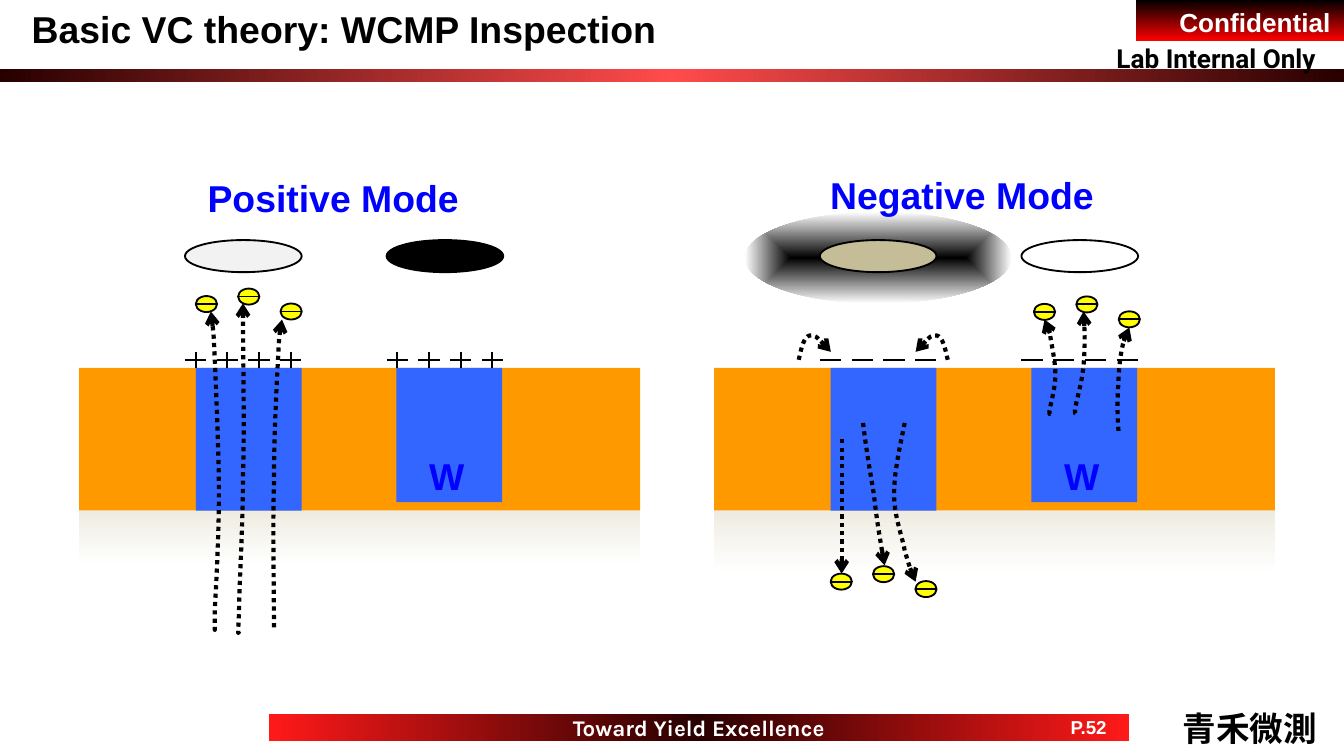
from lxml.etree import SubElement
from pptx import Presentation
from pptx.dml.color import RGBColor
from pptx.enum.dml import MSO_LINE
from pptx.enum.shapes import MSO_CONNECTOR, MSO_SHAPE
from pptx.enum.text import MSO_ANCHOR, MSO_AUTO_SIZE, PP_ALIGN
from pptx.oxml import parse_xml
from pptx.oxml.ns import nsdecls, qn
from pptx.util import Pt

BLACK = RGBColor(0x00, 0x00, 0x00)
WHITE = RGBColor(0xFF, 0xFF, 0xFF)
RED = RGBColor(0xFF, 0x00, 0x00)
BRIGHT_RED = RGBColor(0xFF, 0x19, 0x19)
GLOW_RED = RGBColor(0xFF, 0x4B, 0x4B)
DARK_RED = RGBColor(0x28, 0x00, 0x00)
ORANGE = RGBColor(0xFF, 0x99, 0x00)
PLUG_BLUE = RGBColor(0x33, 0x66, 0xFF)
LABEL_BLUE = RGBColor(0x00, 0x00, 0xFF)
YELLOW = RGBColor(0xFF, 0xFF, 0x00)
CREAM = RGBColor(0xEE, 0xEC, 0xE1)
PALE_GREY = RGBColor(0xF2, 0xF2, 0xF2)
TAN = RGBColor(0xC4, 0xBD, 0x97)

ACROSS = '<a:lin ang="0" scaled="0"/>'
DOWN = '<a:lin ang="5400000" scaled="0"/>'
OUTWARD = '<a:path path="shape"><a:fillToRect l="50000" t="50000" r="50000" b="50000"/></a:path>'

PLUGS = ((62.5, 76.5), (170, 72))
SPOT_LEFTS = (56.7, 164.7)
RISING_LONG = (
    [(72.7, 139.7), (72.7, 141), (72.7, 141.8), (72.7, 129.6), (73.4, 117.4), (74.9, 90),
     (74.9, 67.7), (74.9, 45.4), (73.4, 12.2), (72.7, -4.3), (72, -20.9), (71.3, -25.2),
     (70.6, -30.2)],
    [(85.7, 141.1), (85, 142.6), (85, 144.7), (85.7, 131), (85.7, 116.6), (87.8, 85.7),
     (87.8, 58.3), (88.6, 31), (87.8, -1.4), (87.8, -34.6)],
    [(104.4, 139), (104.4, 112.3), (103.7, 86.4), (104.4, 61.9), (104.4, 38.2), (105.8, 9.4),
     (106.6, -5), (107.3, -19.4), (108, -23), (108.7, -25.9)],
)
FALLING = (
    [(68.4, 38.2), (68.4, 49), (68.4, 59.8), (68.4, 72), (68.4, 84.2), (68.4, 97.2),
     (68.4, 110.2)],
    [(79.9, 29.5), (81.4, 42.5), (83.5, 54.7), (85.7, 67.7), (87.1, 80.6), (89.3, 93.6),
     (91.4, 105.8)],
    [(102.2, 29.5), (99.4, 43.2), (96.5, 56.2), (96.5, 67.7), (96.5, 79.2), (100.8, 90),
     (102.2, 97.9), (104.4, 105.1), (105.8, 110.2), (108, 114.5)],
)
RISING_SHORT = (
    [(180, 24.5), (180, 25.2), (179.3, 25.2), (180, 21.6), (180.7, 18), (182.9, 10.1),
     (182.9, 3.6), (182.9, -3.6), (180.7, -13), (180, -18), (179.3, -23), (177.8, -24.5),
     (177.1, -25.9)],
    [(193.7, 24.5), (193.7, 24.5), (193, 25.2), (193.7, 20.9), (194.4, 16.6), (197.3, 7.2),
     (198, -1.4), (198.7, -10.1), (198.7, -20.2), (198, -30.2)],
    [(216.7, 33.8), (216, 24.5), (216, 15.8), (216.7, 7.9), (216.7, 0), (218.2, -10.1),
     (219.6, -14.4), (220.3, -19.4), (221.8, -20.9), (222.5, -21.6)],
)
HOP = [(45.4, -4.3), (46.8, -10.8), (48.2, -16.6), (51.1, -17.3), (54, -18), (58.3, -13.7),
       (62.6, -8.6)]
HOPS = (HOP, [(170.6 - x, y) for x, y in HOP])


def add_shape(s, kind, x, y, w, h, fill=None, outlined=False):
    sp = s.shapes.add_shape(kind, Pt(x), Pt(y), Pt(w), Pt(h))
    sp.shadow.inherit = False
    if fill is not None:
        sp.fill.solid()
        sp.fill.fore_color.rgb = fill
    if outlined:
        sp.line.color.rgb = BLACK
        sp.line.width = Pt(1)
    else:
        sp.line.fill.background()
    return sp


def add_gradient(s, kind, x, y, w, h, colors, direction):
    sp = add_shape(s, kind, x, y, w, h)
    step = 100000 // (len(colors) - 1)
    stops = "".join(f'<a:gs pos="{i * step}"><a:srgbClr val="{c}"/></a:gs>'
                    for i, c in enumerate(colors))
    sp._element.spPr.insert(2, parse_xml(
        f'<a:gradFill {nsdecls("a")} rotWithShape="1"><a:gsLst>{stops}</a:gsLst>'
        f'{direction}</a:gradFill>'))
    return sp


def write(sp, text, size, color, font="Arial", align=PP_ALIGN.LEFT, anchor=MSO_ANCHOR.TOP,
          wrap=False, inset=(7.2, 3.6)):
    tf = sp.text_frame
    frame = {"word_wrap": wrap, "auto_size": MSO_AUTO_SIZE.NONE, "vertical_anchor": anchor,
             "margin_left": Pt(inset[0]), "margin_right": Pt(inset[0]),
             "margin_top": Pt(inset[1]), "margin_bottom": Pt(inset[1])}
    for name, value in frame.items():
        setattr(tf, name, value)
    p = tf.paragraphs[0]
    p.alignment = align
    r = p.add_run()
    r.text = text
    for name, value in {"size": Pt(size), "bold": True, "name": font}.items():
        setattr(r.font, name, value)
    r.font.color.rgb = color


def add_text(s, x, y, w, h, text, size, color, **options):
    write(s.shapes.add_textbox(Pt(x), Pt(y), Pt(w), Pt(h)), text, size, color, **options)


def add_label(s, x, y, w, text, color, wrap=False):
    add_text(s, x, y, w, 30, text, 20, color, wrap=wrap, inset=(6.2, 3.1))


def add_line(s, x1, y1, x2, y2):
    line = s.shapes.add_connector(MSO_CONNECTOR.STRAIGHT, Pt(x1), Pt(y1), Pt(x2), Pt(y2))
    line.line.color.rgb = BLACK
    line.line.width = Pt(1)
    SubElement(line._element.spPr, qn("a:effectLst"))


def add_curve(s, x, y, points):
    start, *rest = [(Pt(x + px), Pt(y + py)) for px, py in points]
    fb = s.shapes.build_freeform(*start)
    fb.add_line_segments(rest, close=False)
    sp = fb.convert_to_shape()
    outline = next(sp._element.iter(qn("a:path")))
    segments = outline.findall(qn("a:lnTo"))
    for i in range(0, len(segments), 3):
        bend = SubElement(outline, qn("a:cubicBezTo"))
        for segment in segments[i:i + 3]:
            bend.append(segment[0])
            outline.remove(segment)
    sp.shadow.inherit = False
    sp.fill.background()
    sp.line.color.rgb = BLACK
    sp.line.width = Pt(2.25)
    sp.line.dash_style = MSO_LINE.ROUND_DOT
    SubElement(sp.line._get_or_add_ln(), qn("a:tailEnd"), type="arrow")


def add_electrons(s, x, y):
    for i, rise in enumerate((0, -4, 4)):
        left, top = x + i * 22.7, y + rise
        group = s.shapes.add_group_shape()
        add_shape(group, MSO_SHAPE.OVAL, left, top, 11.4, 8.6, YELLOW, True)
        add_line(group, left, top + 4.3, left + 11.4, top + 4.3)


def add_charges(s, x, y, positive):
    for i in range(4):
        left = x + i * 17
        group = s.shapes.add_group_shape() if positive else s
        if positive:
            add_line(group, left + 5.7, y - 4.3, left + 5.7, y + 4.3)
        add_line(group, left, y, left + 11.4, y)


def add_wafer(s, x, y, fade, spots, positive, electrons, curves):
    add_gradient(s, MSO_SHAPE.RECTANGLE, x, y + 76.4, 300.5, fade, (CREAM, WHITE), DOWN)
    if not positive:
        add_gradient(s, MSO_SHAPE.OVAL, x + 16.5, y - 83.5, 143, 49, (BLACK, WHITE), OUTWARD)
    add_shape(s, MSO_SHAPE.RECTANGLE, x, y, 300.5, 76.4, ORANGE)
    for left, depth in PLUGS:
        add_shape(s, MSO_SHAPE.RECTANGLE, x + left, y, 56.7, depth, PLUG_BLUE)
    for left, color in zip(SPOT_LEFTS, spots):
        add_shape(s, MSO_SHAPE.OVAL, x + left, y - 68.5, 62.5, 17.2, color, True)
        add_charges(s, x + left, y - 4.4, positive)
    for left, top in electrons:
        add_electrons(s, x + left, y + top)
    for points in curves:
        add_curve(s, x, y, points)
    add_label(s, x + 181.3, y + 42.5, 32, "W", LABEL_BLUE)


def add_header(s, x, y, w):
    add_gradient(s, MSO_SHAPE.RECTANGLE, x, y + 36.75, w, 7,
                 (DARK_RED, GLOW_RED, DARK_RED), ACROSS)
    tag = add_gradient(s, MSO_SHAPE.RECTANGLE, x + w - 111.5, y, 111.5, 22, (BLACK, RED), DOWN)
    write(tag, "Confidential", 14, WHITE, align=PP_ALIGN.RIGHT, wrap=True)
    add_text(s, x + w - 129, y + 19, 129.5, 24.5, "Lab Internal Only", 14, BLACK,
             font="Roboto")
    add_label(s, x + 10.75, y, 507.5, "Basic VC theory: WCMP Inspection", BLACK, wrap=True)


def add_footer(s, x, y, w):
    centred = {"align": PP_ALIGN.CENTER, "anchor": MSO_ANCHOR.MIDDLE}
    band = add_gradient(s, MSO_SHAPE.RECTANGLE, x, y, w, 14.5,
                        (BRIGHT_RED, DARK_RED, BRIGHT_RED), ACROSS)
    write(band, "Toward Yield Excellence", 12, WHITE, font="Karla", **centred)
    add_text(s, x + w - 43.2, y, 43.2, 14.5, "P.52", 10, WHITE, **centred)
    add_text(s, x + w + 21.6, y - 7.2, 86.4, 29, "青禾微測", 18, BLACK, wrap=True, **centred)


def main():
    prs = Presentation()
    prs.slide_width, prs.slide_height = Pt(720), Pt(405)
    s = prs.slides.add_slide(prs.slide_layouts[6])
    add_header(s, 0, 0, 720)
    add_footer(s, 144, 382.5, 460.8)
    add_wafer(s, 42.4, 197.1, 29.5, (PALE_GREY, BLACK), True, ((62.5, -38.5),), RISING_LONG)
    add_wafer(s, 382.5, 197.1, 34, (TAN, WHITE), False, ((62.5, 110.2), (171.4, -34.3)),
              FALLING + RISING_SHORT + HOPS)
    add_label(s, 105, 90.75, 148.5, "Positive Mode", LABEL_BLUE)
    add_label(s, 438.5, 89.25, 155, "Negative Mode", LABEL_BLUE)
    prs.save("out.pptx")


if __name__ == "__main__":
    main()
